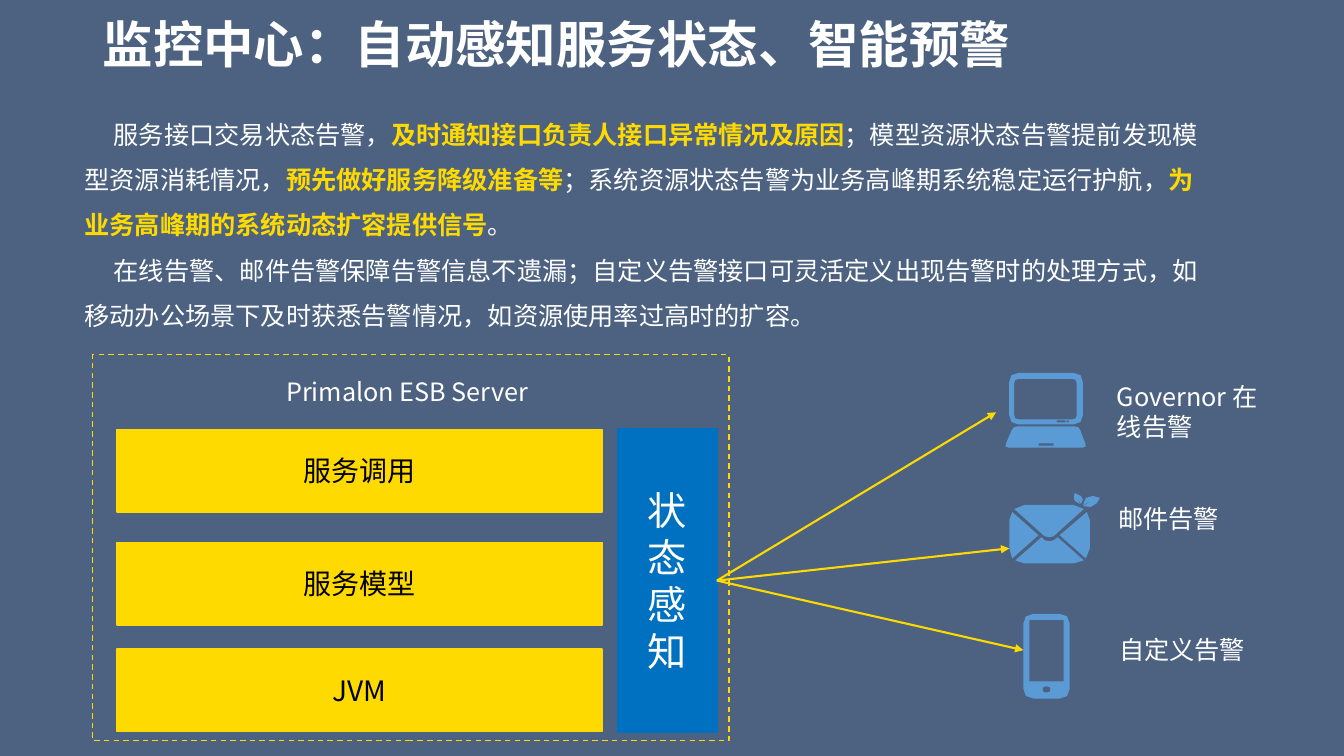
from math import hypot

from lxml import etree
from pptx import Presentation
from pptx.dml.color import RGBColor
from pptx.enum.dml import MSO_LINE
from pptx.enum.shapes import MSO_CONNECTOR, MSO_SHAPE
from pptx.enum.text import MSO_ANCHOR, PP_ALIGN
from pptx.oxml.ns import qn
from pptx.util import Inches, Pt

FONT = "Noto Sans CJK SC"
COLORS = {"navy": "001F4A", "white": "FFFFFF", "yellow": "FFDA00",
          "blue": "0070C0", "icon": "5B9BD5", "black": "000000"}

TITLE = "监控中心：自动感知服务状态、智能预警"
# Each paragraph is a list of (text, highlighted) pairs.
INTRO = [
    [("服务接口交易状态告警，", False),
     ("及时通知接口负责人接口异常情况及原因", True),
     ("；模型资源状态告警提前发现模型资源消耗情况，", False),
     ("预先做好服务降级准备等", True),
     ("；系统资源状态告警为业务高峰期系统稳定运行护航，", False),
     ("为业务高峰期的系统动态扩容提供信号", True),
     ("。", False)],
    [("在线告警、邮件告警保障告警信息不遗漏；自定义告警接口可灵活定义出现告警时的处理方式，"
      "如移动办公场景下及时获悉告警情况，如资源使用率过高时的扩容。", False)],
]
SERVER = "Primalon ESB Server"
LAYERS = [("服务调用", 4.26), ("服务模型", 5.38), ("JVM", 6.44)]
SENSOR = "状态感知"
# Label, its box, and the tip of the arrow that leads to it.
ALERTS = [
    ("Governor 在线告警", (10.98, 3.73, 1.61, 0.71), (9.88, 4.09)),
    ("邮件告警", (10.99, 4.94, 1.45, 0.4), (10.01, 5.44)),
    ("自定义告警", (11, 6.24, 1.45, 0.4), (10.15, 6.45)),
]
ARROW_START = (7.11, 5.76)


def block(left, top, right, bottom):
    return [(left, top), (right, top), (right, bottom), (left, bottom)]


# Each icon part is a list of (corner points, corner radius); later outlines are holes.
ICON_PARTS = [
    # laptop base and screen
    [([(10.05, 4.23), (10.7, 4.23), (10.78, 4.44), (9.96, 4.44)], 0.04),
     (block(10.3, 4.4, 10.45, 4.42), 0)],
    [(block(10.01, 3.7, 10.74, 4.21), 0.09),
     (block(10.06, 3.76, 10.68, 4.16), 0.04),
     (block(10.48, 4.17, 10.57, 4.19), 0),
     (block(10.58, 4.17, 10.6, 4.19), 0)],
    # leaves
    [([(10.91, 4.94), (10.84, 4.92), (10.77, 4.94), (10.74, 5.01), (10.86, 4.95),
       (10.74, 5.02), (10.82, 5.03), (10.88, 4.99)], 0)],
    [([(10.66, 4.89), (10.72, 4.92), (10.74, 4.96), (10.72, 5),
       (10.68, 4.93), (10.71, 5), (10.66, 4.97), (10.65, 4.93)], 0)],
    # envelope: right, flap, bottom, left
    [([(10.78, 5.08), (10.81, 5.16), (10.81, 5.44), (10.77, 5.54), (10.51, 5.31)], 0)],
    [([(10.06, 5.05), (10.16, 5.01), (10.65, 5.01), (10.75, 5.05),
       (10.45, 5.32), (10.41, 5.33), (10.36, 5.32)], 0)],
    [([(10.07, 5.56), (10.33, 5.33), (10.36, 5.36), (10.41, 5.37), (10.45, 5.36),
       (10.49, 5.33), (10.75, 5.56), (10.65, 5.59), (10.16, 5.59)], 0)],
    [([(10.04, 5.08), (10.3, 5.31), (10.04, 5.54), (10.01, 5.44), (10.01, 5.16)], 0)],
    # phone
    [(block(10.15, 6.09, 10.61, 6.93), 0.1),
     (block(10.21, 6.15, 10.55, 6.76), 0),
     (block(10.34, 6.81, 10.42, 6.87), 0.03)],
]


def color(name):
    return RGBColor.from_string(COLORS[name])


def add_span(para, text, size=18, ink="white", bold=False):
    span = para.add_run()
    span.text = text
    span.font.size, span.font.bold, span.font.name = Pt(size), bold, FONT
    span.font.color.rgb = color(ink)
    etree.SubElement(span.font._element, qn("a:ea"), typeface=FONT)


def write(box, lines, align=PP_ALIGN.LEFT, anchor=MSO_ANCHOR.TOP, wrap=True,
          spacing=None, indent=None, **style):
    """Fill a shape; each line is a string or a list of (text, highlighted) pairs."""
    frame = box.text_frame
    frame.word_wrap, frame.vertical_anchor = wrap, anchor
    for index, line in enumerate(lines):
        para = frame.paragraphs[0] if index == 0 else frame.add_paragraph()
        para.alignment = align
        if spacing:
            para.line_spacing = spacing
        if indent:
            properties = para._p.get_or_add_pPr()
            properties.set("marL", str(Inches(indent)))
            properties.set("indent", str(Inches(indent)))
        if isinstance(line, str):
            add_span(para, line, **style)
        else:
            for text, marked in line:
                add_span(para, text, ink="yellow" if marked else "white", bold=marked)


def add_text(page, bounds, lines, **style):
    box = page.shapes.add_textbox(*map(Inches, bounds))
    write(box, lines, **style)


def add_block(page, bounds, fill=None, line=None):
    shape = page.shapes.add_shape(MSO_SHAPE.RECTANGLE, *map(Inches, bounds))
    shape.shadow.inherit = False
    if fill:
        shape.fill.solid()
        shape.fill.fore_color.rgb = color(fill)
    else:
        shape.fill.background()
    if line:
        shape.line.color.rgb = color(line)
        shape.line.width = Pt(1)
    else:
        shape.line.fill.background()
    return shape


def soften(corners, radius):
    """Replace every corner by three points along a short curve."""
    if not radius:
        return corners
    points = []
    for index, (x, y) in enumerate(corners):
        ends = []
        for near_x, near_y in (corners[index - 1], corners[(index + 1) % len(corners)]):
            share = min(radius / hypot(near_x - x, near_y - y), 0.5)
            ends.append((x + (near_x - x) * share, y + (near_y - y) * share))
        (ax, ay), (bx, by) = ends
        points += [(ax, ay), ((ax + 2 * x + bx) / 4, (ay + 2 * y + by) / 4), (bx, by)]
    return points


def add_icon_part(page, outlines):
    builder = None
    for corners, radius in outlines:
        first, *rest = [(Inches(x), Inches(y)) for x, y in soften(corners, radius)]
        if builder is None:
            builder = page.shapes.build_freeform(*first)
        else:
            builder.move_to(*first)
        builder.add_line_segments(rest, close=True)
    shape = builder.convert_to_shape()
    shape.shadow.inherit = False
    shape.fill.solid()
    shape.fill.fore_color.rgb = color("icon")
    shape.line.fill.background()


def add_arrow(page, start, end):
    arrow = page.shapes.add_connector(MSO_CONNECTOR.STRAIGHT, *map(Inches, start + end))
    arrow.line.color.rgb = color("yellow")
    arrow.line.width = Pt(1.5)
    etree.SubElement(arrow.line._get_or_add_ln(), qn("a:tailEnd"), type="triangle")
    etree.SubElement(arrow._element.spPr, qn("a:effectLst"))


def main():
    deck = Presentation()
    deck.slide_width, deck.slide_height = Inches(13.33), Inches(7.5)
    page = deck.slides.add_slide(deck.slide_layouts[6])
    centred = {"align": PP_ALIGN.CENTER, "anchor": MSO_ANCHOR.MIDDLE}

    # The navy tint at 70 % over white, as a plain background.
    backdrop = page.background.fill
    backdrop.solid()
    backdrop.fore_color.rgb = RGBColor(*(
        round(0.7 * part + 0.3 * 255) for part in color("navy")))

    add_text(page, (0.92, 0.12, 11.5, 0.7), [TITLE], anchor=MSO_ANCHOR.MIDDLE,
             spacing=0.9, size=36, bold=True)
    add_text(page, (0.45, 0.98, 11.6, 2.37), INTRO, spacing=1.5, indent=0.29)

    server = add_block(page, (0.92, 3.52, 6.31, 3.83), line="yellow")
    server.line.dash_style = MSO_LINE.DASH
    add_text(page, (2.74, 3.68, 2.66, 0.4), [SERVER], wrap=False)
    for name, top in LAYERS:
        layer = add_block(page, (1.16, top, 4.81, 0.82), fill="yellow", line="yellow")
        write(layer, [name], size=20, ink="black", **centred)
    sensor = add_block(page, (6.13, 4.25, 0.98, 3.02), fill="blue", line="blue")
    write(sensor, list(SENSOR), size=28, **centred)

    for outlines in ICON_PARTS:
        add_icon_part(page, outlines)
    for label, bounds, tip in ALERTS:
        add_text(page, bounds, [label])
        add_arrow(page, ARROW_START, tip)
    deck.save("out.pptx")


if __name__ == "__main__":
    main()
